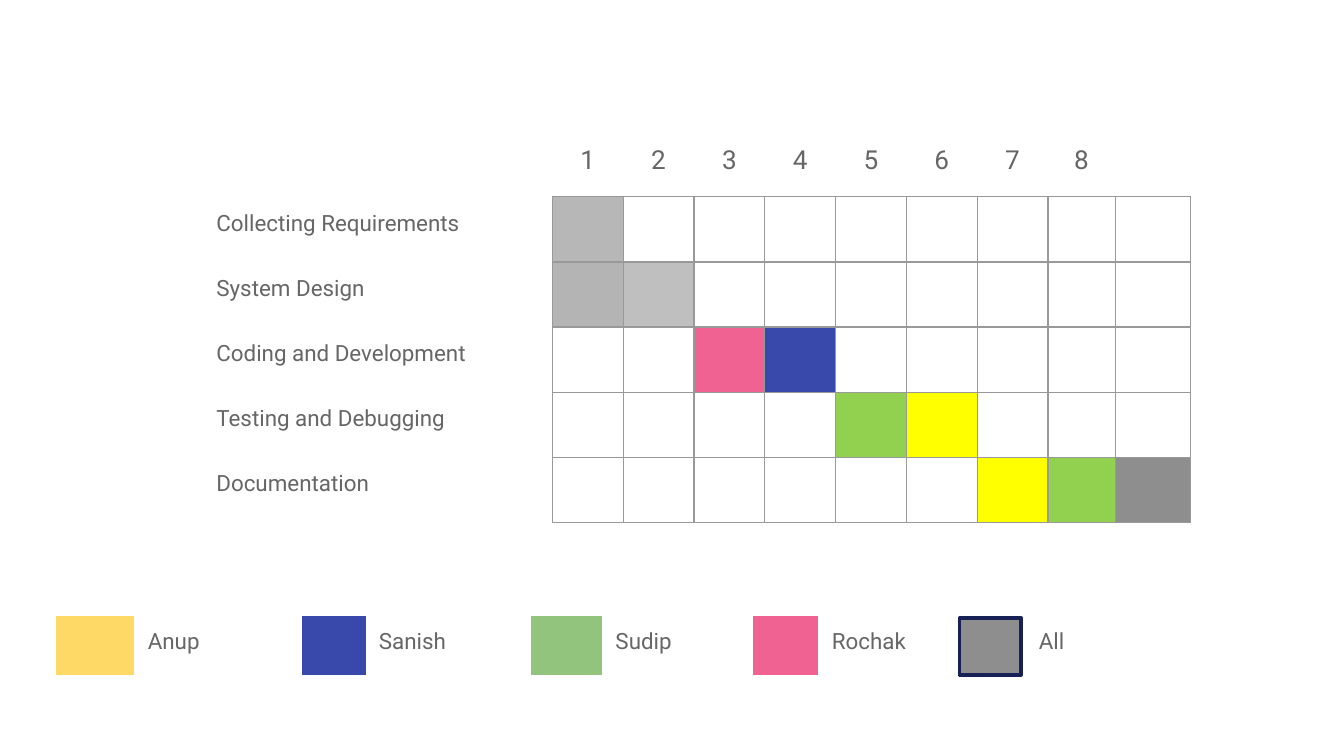
from typing import NamedTuple, Optional

from lxml import etree
from pptx import Presentation
from pptx.dml.color import RGBColor
from pptx.enum import shapes, text
from pptx.oxml import ns
from pptx.util import Inches, Pt

WHITE = RGBColor(0xFF, 0xFF, 0xFF)
INK = RGBColor(0x66, 0x66, 0x66)
RULE = RGBColor(0x99, 0x99, 0x99)
SILVER = RGBColor(0xB7, 0xB7, 0xB7)
ASH = RGBColor(0xB4, 0xB4, 0xB4)
PALE = RGBColor(0xBF, 0xBF, 0xBF)
GREY = RGBColor(0x8E, 0x8E, 0x8E)
PINK = RGBColor(0xF0, 0x62, 0x92)
BLUE = RGBColor(0x39, 0x49, 0xAB)
LIME = RGBColor(0x92, 0xD0, 0x50)
YELLOW = RGBColor(0xFF, 0xFF, 0x00)
GOLD = RGBColor(0xFF, 0xD9, 0x66)
GREEN = RGBColor(0x93, 0xC4, 0x7D)
NAVY = RGBColor(0x18, 0x21, 0x56)
NO_GRID = "{2D5ABB26-0587-4C30-8999-92F81FD0307C}"


class Task(NamedTuple):
    name: str
    weeks: dict[int, RGBColor]


class Key(NamedTuple):
    name: str
    color: RGBColor
    box: float
    label: float


TASKS = [
    Task("Collecting Requirements", {1: SILVER}),
    Task("System Design", {1: ASH, 2: PALE}),
    Task("Coding and Development", {3: PINK, 4: BLUE}),
    Task("Testing and Debugging", {5: LIME, 6: YELLOW}),
    Task("Documentation", {7: YELLOW, 8: LIME, 9: GREY}),
]
KEYS = [
    Key("Anup", GOLD, 0.58, 1.25),
    Key("Sanish", BLUE, 0.47, 1.23),
    Key("Sudip", GREEN, 0.53, 1.12),
    Key("Rochak\tAll", PINK, 0.49, 3.62),
]
WEEKS = 8


def add_grid(slide, left: float, top: float, cols: list[float],
             rows: int, high: float):
    """Add a table without style, banding or cell fills."""
    frame = slide.shapes.add_table(rows, len(cols), Inches(left), Inches(top),
                                   Inches(sum(cols)), Inches(rows * high))
    grid = frame.table
    grid.first_row = grid.horz_banding = False
    frame._element.find(".//" + ns.qn("a:tableStyleId")).text = NO_GRID
    for col, wide in zip(grid.columns, cols):
        col.width = Inches(wide)
    for row in grid.rows:
        row.height = Inches(high)
    for cell in grid.iter_cells():
        cell.margin_top = cell.margin_bottom = Inches(0.03)
    return grid


def write(cell, words: str, *, size: int = 12, center: bool = False,
          tab: Optional[float] = None) -> None:
    cell.margin_left = cell.margin_right = Inches(0.1)
    cell.margin_top = cell.margin_bottom = Inches(0.1)
    para = cell.text_frame.paragraphs[0]
    para.alignment = text.PP_ALIGN.CENTER if center else text.PP_ALIGN.LEFT
    if tab is not None:
        stops = etree.SubElement(para._p.get_or_add_pPr(), ns.qn("a:tabLst"))
        etree.SubElement(stops, ns.qn("a:tab"), pos=str(Inches(tab)), algn="l")
    run = para.add_run()
    run.text = words
    run.font.name = "Roboto"
    run.font.size = Pt(size)
    run.font.color.rgb = INK


def edge(cell, sides: str) -> None:
    """Rule the named sides (of L, R, T, B) and clear the others."""
    props = cell._tc.get_or_add_tcPr()
    for side in "LRTB":
        line = etree.SubElement(props, ns.qn("a:ln" + side), w=str(Pt(0.75)))
        if side in sides:
            fill = etree.SubElement(line, ns.qn("a:solidFill"))
            etree.SubElement(fill, ns.qn("a:srgbClr"), val=str(RULE))
        else:
            etree.SubElement(line, ns.qn("a:noFill"))


def paint(cell, color: RGBColor) -> None:
    cell.fill.solid()
    cell.fill.fore_color.rgb = color


def add_plan(slide) -> None:
    cols = [2.6] + [3.69 / 7] * 7 + [0.5, 0.56]
    rows = len(TASKS) + 1
    grid = add_grid(slide, 1.51, 0.98, cols, rows, 2.91 / rows)
    for col in range(len(cols)):
        edge(grid.cell(0, col), "B" if col else "")
        if 1 <= col <= WEEKS:
            write(grid.cell(0, col), str(col), size=14, center=True)
    for row, task in enumerate(TASKS, 1):
        write(grid.cell(row, 0), task.name)
        for col in range(len(cols)):
            cell = grid.cell(row, col)
            edge(cell, "LRTB" if col else "R")
            if col in task.weeks:
                paint(cell, task.weeks[col])


def add_legend(slide) -> None:
    cols = [wide for key in KEYS for wide in (key.box, key.label)]
    grid = add_grid(slide, 0.42, 4.58, cols, 1, 0.44)
    for i, key in enumerate(KEYS):
        paint(grid.cell(0, 2 * i), key.color)
        tab = 1.54 if "\t" in key.name else None
        write(grid.cell(0, 2 * i + 1), key.name, tab=tab)
    box = slide.shapes.add_shape(shapes.MSO_SHAPE.RECTANGLE, Inches(7.14),
                                 Inches(4.6), Inches(0.46), Inches(0.42))
    box.shadow.inherit = False
    box.fill.solid()
    box.fill.fore_color.rgb = GREY
    box.line.color.rgb = NAVY
    box.line.width = Pt(2)


def main() -> None:
    deck = Presentation()
    deck.slide_width = Inches(10)
    deck.slide_height = Inches(10 * 9 / 16)
    slide = deck.slides.add_slide(deck.slide_layouts[6])
    slide.background.fill.solid()
    slide.background.fill.fore_color.rgb = WHITE
    add_plan(slide)
    add_legend(slide)
    deck.save("out.pptx")


if __name__ == "__main__":
    main()
